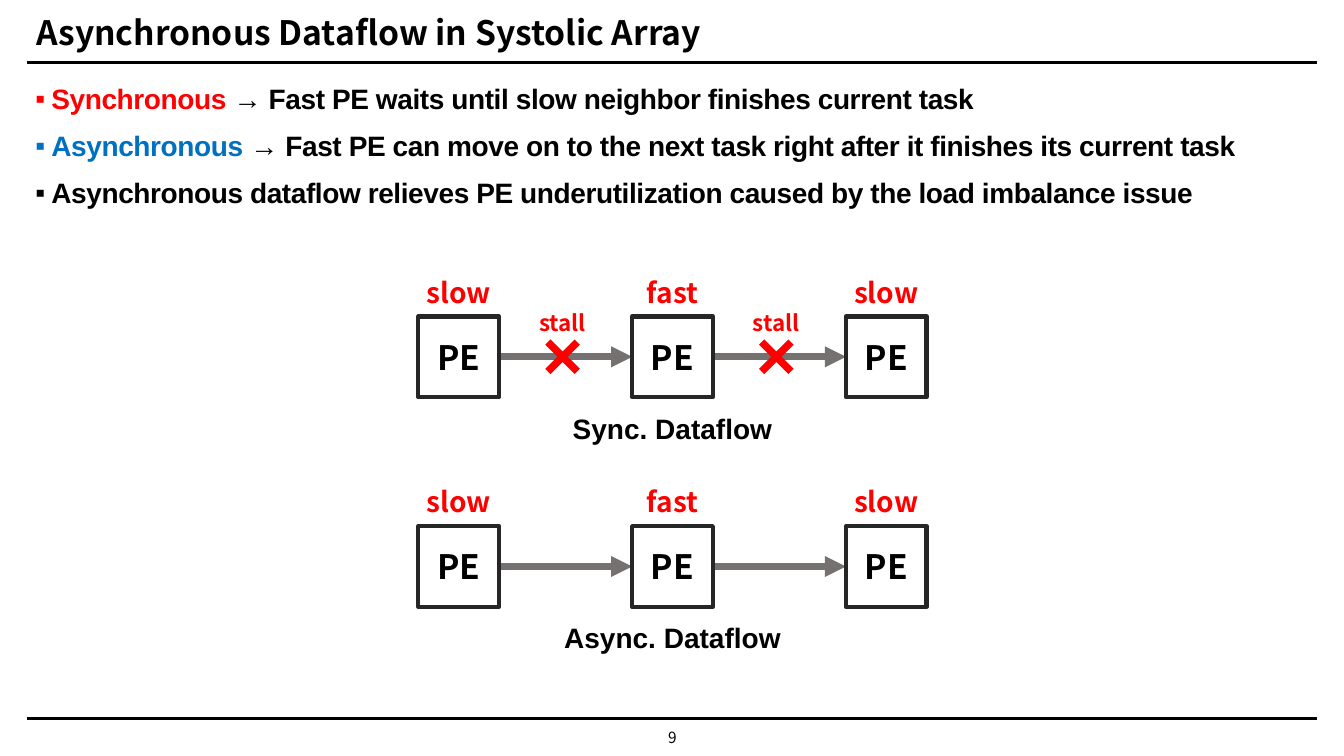
import lxml.etree
import pptx
import pptx.dml.color
import pptx.enum.shapes
import pptx.enum.text
import pptx.oxml.ns
import pptx.util

BLACK = pptx.dml.color.RGBColor(0x00, 0x00, 0x00)
WHITE = pptx.dml.color.RGBColor(0xFF, 0xFF, 0xFF)
RED = pptx.dml.color.RGBColor(0xFF, 0x00, 0x00)
BLUE = pptx.dml.color.RGBColor(0x00, 0x70, 0xC0)
CHARCOAL = pptx.dml.color.RGBColor(0x26, 0x26, 0x26)
GRAY = pptx.dml.color.RGBColor(0x76, 0x71, 0x71)
SANS = "Noto Sans CJK KR"
ARIAL = "Arial"

PE_SIZE = 0.8
PE_LEFT, PE_PITCH = 4.15, 2.12
ROW_TOP, ROW_PITCH = 3.14, 2.08
SPEEDS = ["slow", "fast", "slow"]
DATAFLOWS = [("Sync. Dataflow", True), ("Async. Dataflow", False)]
CLAIMS = [
    [("Synchronous ", RED), ("→ Fast PE waits until slow neighbor finishes current task", BLACK)],
    [("Asynchronous ", BLUE),
     ("→ Fast PE can move on to the next task right after it finishes its current task", BLACK)],
    [("Asynchronous dataflow relieves PE underutilization caused by the load imbalance issue", BLACK)],
]


def apply(target, **values):
    """Set every given format value on the target."""
    for key, value in values.items():
        setattr(target, key, value)


def place(shape, left, top, width, height):
    """Put a shape at a position given in inches."""
    inches = map(pptx.util.Inches, (left, top, width, height))
    apply(shape, **dict(zip(("left", "top", "width", "height"), inches)))


def write(paragraph, words, size, color, face=SANS, bold=True):
    """Append a formatted run to a paragraph and return it."""
    run = paragraph.add_run()
    apply(run, text=words)
    apply(run.font, size=pptx.util.Pt(size), name=face, bold=bold)
    run.font.color.rgb = color
    return run


def add_child(parent, tag, **attributes):
    """Append a DrawingML element to a parent."""
    return lxml.etree.SubElement(parent, pptx.oxml.ns.qn(tag), **attributes)


def add_block(slide, kind, box, fill, line=None, weight=1):
    """Add a flat preset shape."""
    block = slide.shapes.add_shape(kind, *map(pptx.util.Inches, box))
    block.shadow.inherit = False
    block.fill.solid()
    block.fill.fore_color.rgb = fill
    if line is None:
        block.line.fill.background()
    else:
        block.line.color.rgb = line
        block.line.width = pptx.util.Pt(weight)
    return block


def add_label(slide, words, center, top, width, height, size, color,
              face=SANS, bold=True, inset=True):
    """Add a centred text label around a horizontal centre."""
    label = slide.shapes.add_textbox(
        *map(pptx.util.Inches, (center - width / 2, top, width, height)))
    frame = label.text_frame
    apply(frame, word_wrap=True)
    if not inset:
        apply(frame, margin_left=0, margin_top=0, margin_right=0, margin_bottom=0)
    paragraph = frame.paragraphs[0]
    paragraph.alignment = pptx.enum.text.PP_ALIGN.CENTER
    write(paragraph, words, size, color, face, bold)


def add_arrow(slide):
    """Add a gray arrow that is joined to its ends later."""
    arrow = slide.shapes.add_connector(pptx.enum.shapes.MSO_CONNECTOR.STRAIGHT, 0, 0, 0, 0)
    arrow.line.color.rgb = GRAY
    arrow.line.width = pptx.util.Pt(5)
    add_child(arrow.line._get_or_add_ln(), "a:tailEnd", type="triangle")
    add_child(arrow._element.spPr, "a:effectLst")
    return arrow


def add_pe(slide, left, top):
    """Add one processing element box."""
    pe = add_block(slide, pptx.enum.shapes.MSO_SHAPE.RECTANGLE,
                   (left, top, PE_SIZE, PE_SIZE), WHITE, CHARCOAL, 3)
    apply(pe.text_frame, vertical_anchor=pptx.enum.text.MSO_ANCHOR.MIDDLE)
    paragraph = pe.text_frame.paragraphs[0]
    paragraph.alignment = pptx.enum.text.PP_ALIGN.CENTER
    write(paragraph, "PE", 24, BLACK)
    return pe


def add_stall(slide, center, top):
    """Mark a blocked transfer with a word and a cross."""
    side = 0.56
    add_label(slide, "stall", center, top - 0.12, 0.78, 0.43, 16, RED)
    cross = add_block(slide, pptx.enum.shapes.MSO_SHAPE.MATH_MULTIPLY,
                      (center - side / 2, top + (PE_SIZE - side) / 2, side, side), RED)
    cross.adjustments[0] = 0.131


def add_dataflow(slide, row, caption, stalls):
    """Draw a row of processing elements with its caption."""
    top = ROW_TOP + row * ROW_PITCH
    lefts = [PE_LEFT + column * PE_PITCH for column in range(len(SPEEDS))]
    centers = [left + PE_SIZE / 2 for left in lefts]
    arrows = [add_arrow(slide) for _ in lefts[1:]]
    pes = [add_pe(slide, left, top) for left in lefts]
    for arrow, source, target in zip(arrows, pes, pes[1:]):
        arrow.begin_connect(source, 3)
        arrow.end_connect(target, 1)
    for speed, center in zip(SPEEDS, centers):
        add_label(slide, speed, center, top - 0.41, 1.08, 0.39, 20, RED, inset=False)
    if stalls:
        for center in centers[:-1]:
            add_stall(slide, center + PE_PITCH / 2 - 0.03, top)
    add_label(slide, caption, centers[1], top + 0.94, 2.78, 0.39, 20, BLACK, ARIAL, inset=False)


def fill_title(title):
    """Fill and format the title placeholder."""
    place(title, 0.26, 0.06, 12.78, 0.51)
    apply(title.text_frame, vertical_anchor=pptx.enum.text.MSO_ANCHOR.BOTTOM,
          auto_size=pptx.enum.text.MSO_AUTO_SIZE.NONE)
    paragraph = title.text_frame.paragraphs[0]
    apply(paragraph, alignment=pptx.enum.text.PP_ALIGN.LEFT, line_spacing=0.9)
    write(paragraph, "Asynchronous Dataflow in Systolic Array", 24, BLACK)


def fill_claims(body):
    """Fill and format the bulleted body placeholder."""
    place(body, 0.27, 0.77, 12.78, 1.47)
    frame = body.text_frame
    inset = pptx.util.Inches(0.08)
    apply(frame, margin_left=inset, margin_top=inset, margin_right=inset // 2, margin_bottom=0,
          vertical_anchor=pptx.enum.text.MSO_ANCHOR.TOP,
          auto_size=pptx.enum.text.MSO_AUTO_SIZE.NONE)
    for number, claim in enumerate(CLAIMS):
        paragraph = frame.add_paragraph() if number else frame.paragraphs[0]
        apply(paragraph, line_spacing=0.9, space_before=pptx.util.Pt(12))
        properties = paragraph._p.get_or_add_pPr()
        properties.set("marL", str(pptx.util.Inches(0.16)))
        properties.set("indent", str(pptx.util.Inches(-0.2)))
        add_child(properties, "a:buFont", typeface=ARIAL)
        add_child(properties, "a:buChar", char="▪")
        for words, color in claim:
            run = write(paragraph, words, 20, color, ARIAL)
            run.font._element.set("spc", "-30")


def main():
    """Build the slide and save it."""
    deck = pptx.Presentation()
    apply(deck, slide_width=pptx.util.Inches(13.33), slide_height=pptx.util.Inches(7.5))
    slide = deck.slides.add_slide(deck.slide_layouts[1])
    fill_title(slide.shapes.title)
    fill_claims(slide.placeholders[1])
    for top in (0.61, 7.12):
        add_block(slide, pptx.enum.shapes.MSO_SHAPE.RECTANGLE,
                  (0.27, top, 12.79, 0.02), BLACK, BLACK)
    add_label(slide, "9", 6.67, 7.17, 0.46, 0.28, 11, BLACK, bold=False)
    for row, (caption, stalls) in enumerate(DATAFLOWS):
        add_dataflow(slide, row, caption, stalls)
    deck.save("out.pptx")


if __name__ == "__main__":
    main()
